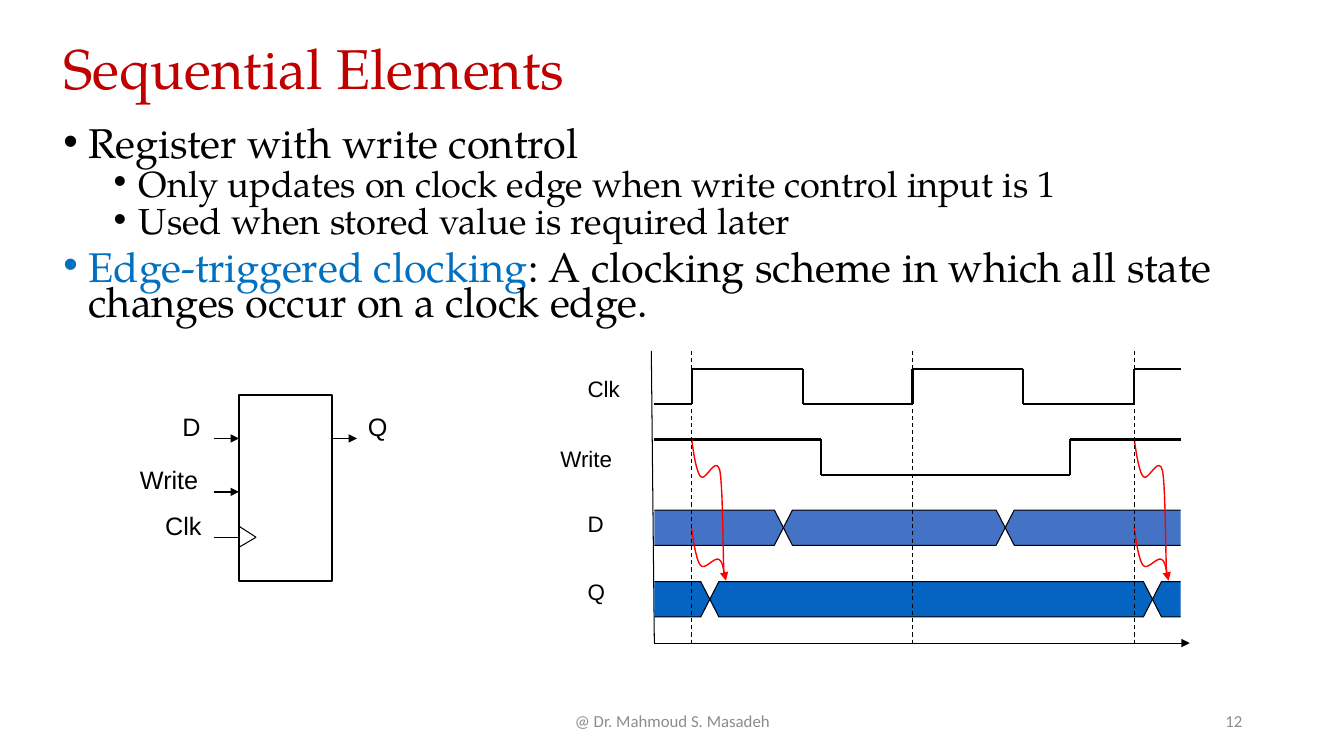
import itertools

import lxml.etree
import pptx
import pptx.dml.color
import pptx.enum.dml
import pptx.enum.shapes
import pptx.enum.text
import pptx.oxml.ns
import pptx.util

Inches = pptx.util.Inches
Align = pptx.enum.text.PP_ALIGN
Anchor = pptx.enum.text.MSO_ANCHOR
SERIF = "TeX Gyre Pagella"
BLACK = "000000"
LONG_CURVE = [(0, 0), (0.01, 0.06), (0.04, 0.32), (0.09, 0.37), (0.14, 0.42),
              (0.24, 0.15), (0.28, 0.31), (0.31, 0.47), (0.31, 1.12), (0.32, 1.33)]
SHORT_CURVE = [(0, 0), (0.01, 0.06), (0.04, 0.32), (0.09, 0.37), (0.13, 0.42),
               (0.23, 0.28), (0.27, 0.31), (0.32, 0.33), (0.32, 0.48), (0.34, 0.52)]


def color(value):
    """Turn a hex string into a colour."""
    return pptx.dml.color.RGBColor.from_string(value)


def add_element(parent, tag, **attributes):
    """Append a DrawingML element to a parent."""
    return lxml.etree.SubElement(parent, pptx.oxml.ns.qn(tag), **attributes)


def style_line(shape, line_color=BLACK, width=0.75, arrow=False, dashed=False):
    """Set the outline of a shape or connector."""
    shape.line.color.rgb = color(line_color)
    shape.line.width = pptx.util.Pt(width)
    if dashed:
        shape.line.dash_style = pptx.enum.dml.MSO_LINE.DASH
    if arrow:
        add_element(shape.line._get_or_add_ln(), "a:tailEnd", type="triangle")


def add_span(para, text, size, font, text_color):
    """Add one formatted run to a paragraph."""
    span = para.add_run()
    span.text = text
    span.font.size = pptx.util.Pt(size)
    span.font.name = font
    span.font.color.rgb = color(text_color)


def add_text(page, text, left, top, width, height, size=18, font="Arial", text_color=BLACK,
             align=Align.LEFT, anchor=Anchor.TOP, wrap=True, spacing=None):
    """Add a text box with one formatted paragraph."""
    box = page.shapes.add_textbox(Inches(left), Inches(top), Inches(width), Inches(height))
    frame = box.text_frame
    frame.word_wrap = wrap
    frame.vertical_anchor = anchor
    para = frame.paragraphs[0]
    para.alignment = align
    para.line_spacing = spacing
    add_span(para, text, size, font, text_color)


def add_line(page, start, end, **line_format):
    """Draw a straight connector between two points."""
    line = page.shapes.add_connector(pptx.enum.shapes.MSO_CONNECTOR.STRAIGHT,
                                     *(Inches(value) for value in (*start, *end)))
    style_line(line, **line_format)
    add_element(line._element.spPr, "a:effectLst")


def add_outline(page, points, fill=None, close=False, **line_format):
    """Draw a freeform through a list of points."""
    corners = [(Inches(x), Inches(y)) for x, y in points]
    builder = page.shapes.build_freeform(*corners[0], scale=1.0)
    builder.add_line_segments(corners[1:], close=close)
    shape = builder.convert_to_shape()
    shape.shadow.inherit = False
    if fill:
        shape.fill.solid()
        shape.fill.fore_color.rgb = color(fill)
    else:
        shape.fill.background()
    style_line(shape, **line_format)


def add_curve(page, controls, left, top, **line_format):
    """Draw a chain of cubic curves from its control points."""
    points = [controls[0]]
    for first in range(0, len(controls) - 1, 3):
        for step in range(1, 11):
            t = step / 10
            weights = ((1 - t) ** 3, 3 * t * (1 - t) ** 2, 3 * t ** 2 * (1 - t), t ** 3)
            corners = controls[first:first + 4]
            points.append(tuple(sum(weight * corner[axis] for weight, corner in zip(weights, corners))
                                for axis in (0, 1)))
    add_outline(page, [(left + x, top + y) for x, y in points], line_color="FF0000", width=1, **line_format)


def add_wave(page, points, left, top):
    """Draw a square signal as joined straight lines."""
    places = [(left + x, top + y) for x, y in points]
    for start, end in itertools.pairwise(places):
        add_line(page, start, end, width=1.5)


def add_bus(page, crossings, left, top, width, fill, height=0.35, slant=0.09):
    """Draw a data bus that changes value at each crossing."""
    middle, bottom = top + height / 2, top + height
    bounds = [left, *(left + crossing for crossing in crossings), left + width]
    last = len(bounds) - 2
    for index, (start, end) in enumerate(itertools.pairwise(bounds)):
        inner_start = start + slant if index else start
        inner_end = end - slant if index < last else end
        left_side = [(inner_start, top), (start, middle), (inner_start, bottom)]
        right_side = [(inner_end, top), (end, middle), (inner_end, bottom)]
        if index == 0:
            points = [(start, top), *right_side, (start, bottom)]
        elif index == last:
            points = [(end, top), *left_side, (end, bottom)]
        else:
            points = left_side + right_side[::-1]
        add_outline(page, points, fill, close=0 < index < last)


def add_bullets(page, left, top, width, height):
    """Write the bulleted text in two levels."""
    bullets = [
        (0, [("Register with write control", BLACK)]),
        (1, [("Only updates on clock edge when write control input is 1", BLACK)]),
        (1, [("Used when stored value is required later", BLACK)]),
        (0, [("Edge-triggered clocking", "0070C0"),
             (": A clocking scheme in which all state changes occur on a clock edge.", BLACK)]),
    ]
    box = page.shapes.add_textbox(Inches(left), Inches(top), Inches(width), Inches(height))
    frame = box.text_frame
    frame.word_wrap = True
    for index, (level, spans) in enumerate(bullets):
        para = frame.add_paragraph() if index else frame.paragraphs[0]
        properties = para._p.get_or_add_pPr()
        properties.set("marL", str(Inches(0.25 + 0.5 * level)))
        properties.set("indent", str(Inches(-0.25)))
        add_element(properties, "a:buFont", typeface="Arial")
        add_element(properties, "a:buChar", char="•")
        para.level = level
        para.line_spacing = 0.7
        if index:
            para.space_before = pptx.util.Pt(5 if level else 10)
        for text, text_color in spans:
            add_span(para, text, 25.9 if level else 29.6, SERIF, text_color)


def add_register(page, left, top, width, height):
    """Draw the register with its inputs and output."""
    body = page.shapes.add_shape(pptx.enum.shapes.MSO_SHAPE.RECTANGLE, Inches(left), Inches(top),
                                 Inches(width), Inches(height))
    body.shadow.inherit = False
    body.fill.background()
    style_line(body, width=1.5)
    right, clock = left + width, top + 1.41
    for start, y in ((left - 0.25, 0.43), (left - 0.25, 0.96), (right, 0.43)):
        add_line(page, (start, top + y), (start + 0.25, top + y), width=1, arrow=True)
    add_line(page, (left - 0.25, clock), (left, clock))
    for offset in (-0.11, 0.1):
        add_line(page, (left, clock + offset), (left + 0.17, clock))
    for text, x, y, label_width in (("D", -0.66, 0.11, 0.41), ("Write", -1.08, 0.64, 0.83),
                                    ("Clk", -0.83, 1.09, 0.6), ("Q", 1.18, 0.11, 0.42)):
        add_text(page, text, left + x, top + y, label_width, 0.55, wrap=False)


def add_timing(page, left, top, width, height):
    """Draw the timing diagram of clock, write, D and Q."""
    edges = (0.37, 2.56, 4.76)
    bottom = top + height
    for text, x, y, label_width in (("Clk", -0.76, 0.19, 0.6), ("Write", -1.03, 0.89, 0.84),
                                    ("D", -0.76, 1.53, 0.42), ("Q", -0.76, 2.21, 0.44)):
        add_text(page, text, left + x, top + y, label_width, 0.41, size=16, wrap=False)
    add_line(page, (left, bottom), (left + width + 0.09, bottom), arrow=True)
    add_line(page, (left, bottom), (left - 0.03, top))

    clock = [(0, 0.53)]
    for edge in edges:
        clock += [(edge, 0.53), (edge, 0.18)]
        if edge != edges[-1]:
            clock += [(edge + 1.1, 0.18), (edge + 1.1, 0.53)]
    add_wave(page, clock + [(width, 0.18)], left, top)
    add_wave(page, [(0, 0), (1.65, 0), (1.65, 0.35), (4.12, 0.35), (4.12, 0), (width, 0)], left, top + 0.88)
    add_bus(page, (1.28, 3.48), left, top + 1.58, width, "4472C4")
    add_bus(page, (0.55, 4.94), left, top + 2.29, width, "0563C1")
    for edge in (edges[0], edges[-1]):
        add_curve(page, SHORT_CURVE, left + edge, top + 1.76, arrow=True)
        add_curve(page, LONG_CURVE, left + edge, top + 0.88)
    for edge in edges:
        add_line(page, (left + edge, top), (left + edge, bottom), dashed=True)


def main():
    """Build the slide and save it."""
    deck = pptx.Presentation()
    deck.slide_width, deck.slide_height = Inches(13.33), Inches(7.5)
    page = deck.slides.add_slide(deck.slide_layouts[6])
    add_text(page, "Sequential Elements", 0.53, 0.4, 12.32, 0.62, size=40, font=SERIF,
             text_color="C00000", anchor=Anchor.MIDDLE, spacing=0.9)
    add_bullets(page, 0.53, 1.25, 12.44, 2.23)
    add_register(page, 2.37, 3.92, 0.92, 1.84)
    add_timing(page, 6.49, 3.48, 5.22, 2.9)
    for text, left, width, align in (("@ Dr. Mahmoud S. Masadeh", 4.42, 4.5, Align.CENTER),
                                     ("12", 9.42, 3, Align.RIGHT)):
        add_text(page, text, left, 6.95, width, 0.4, size=12, font="Calibri", text_color="8C8C8C",
                 align=align, anchor=Anchor.MIDDLE)
    deck.save("out.pptx")


if __name__ == "__main__":
    main()
